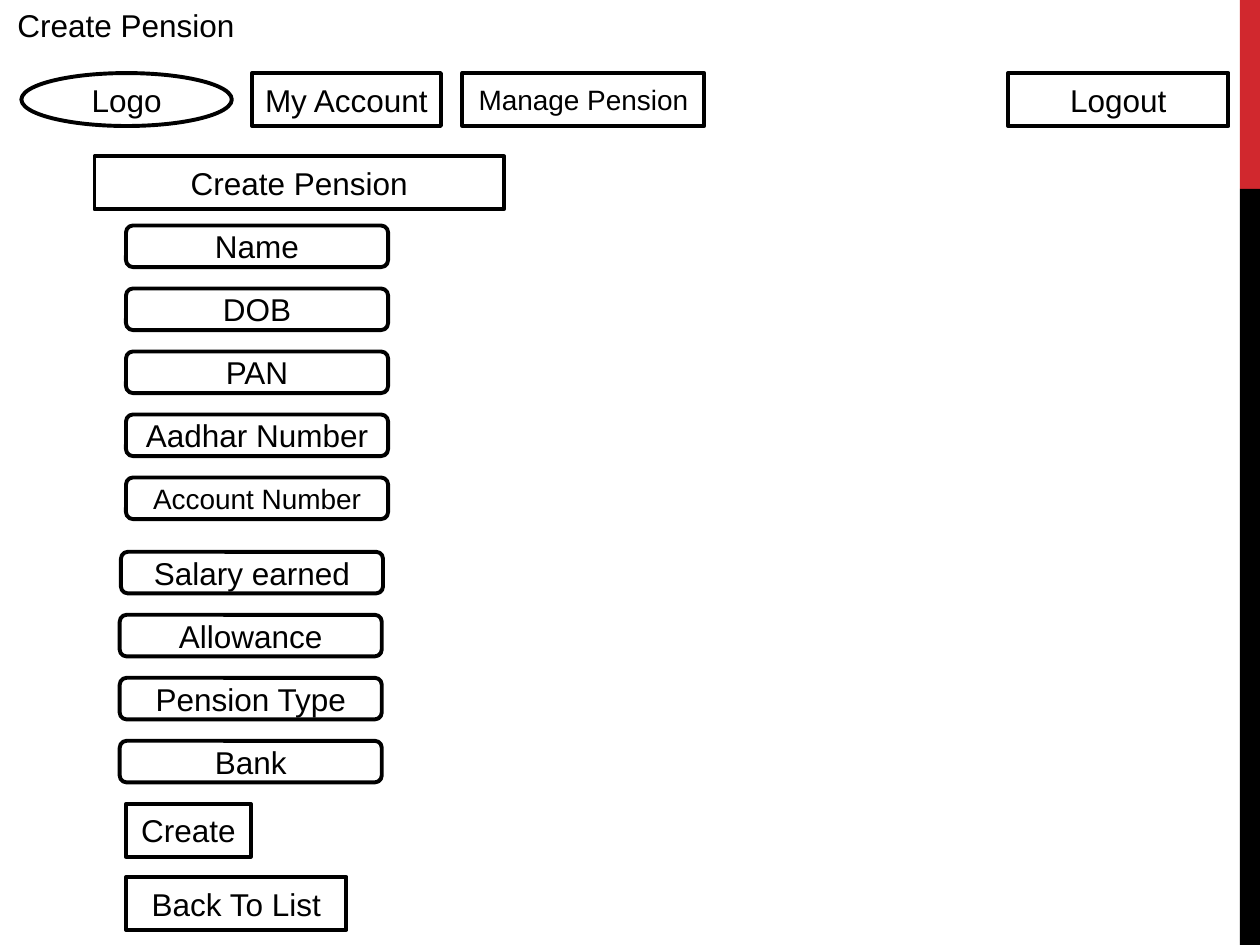
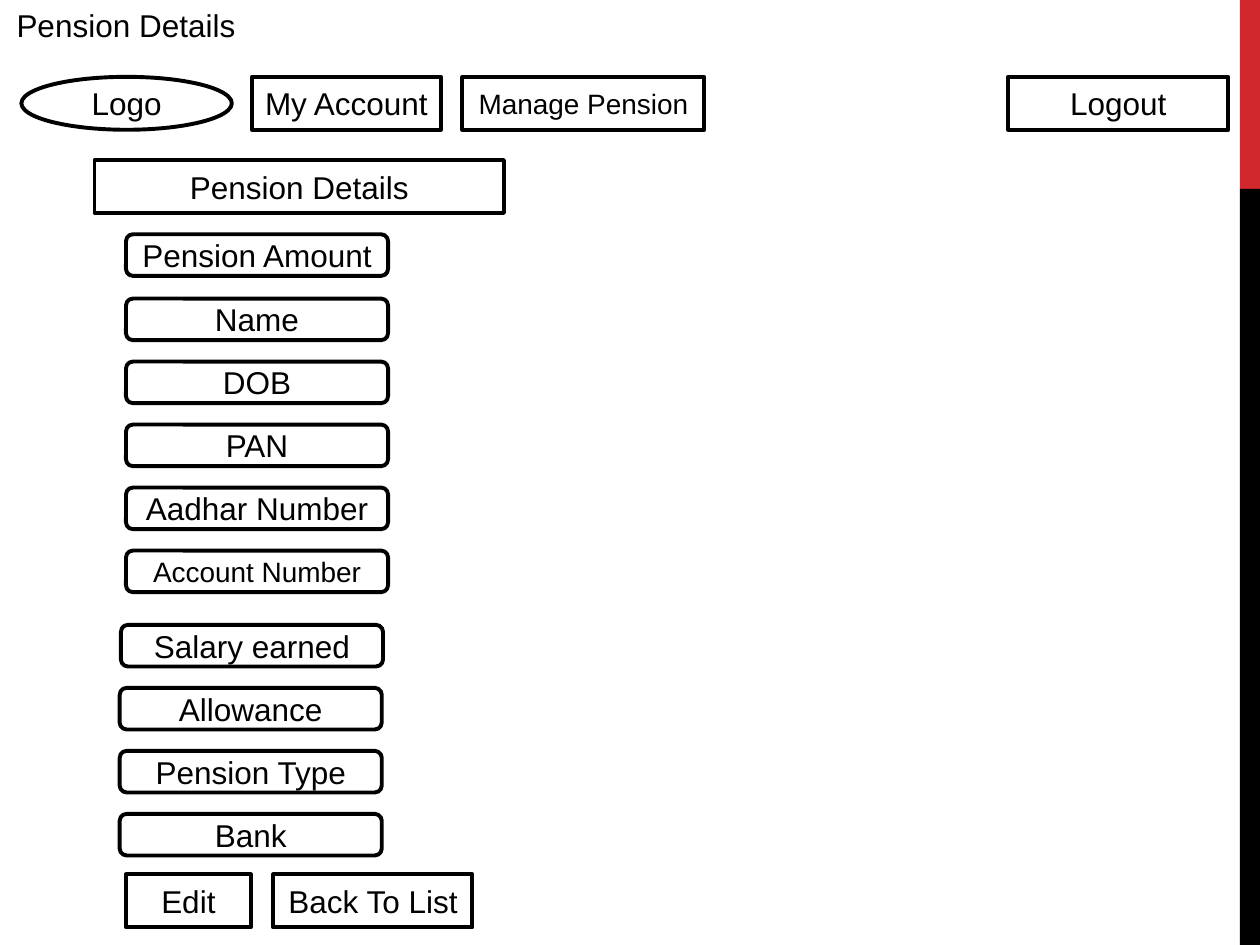
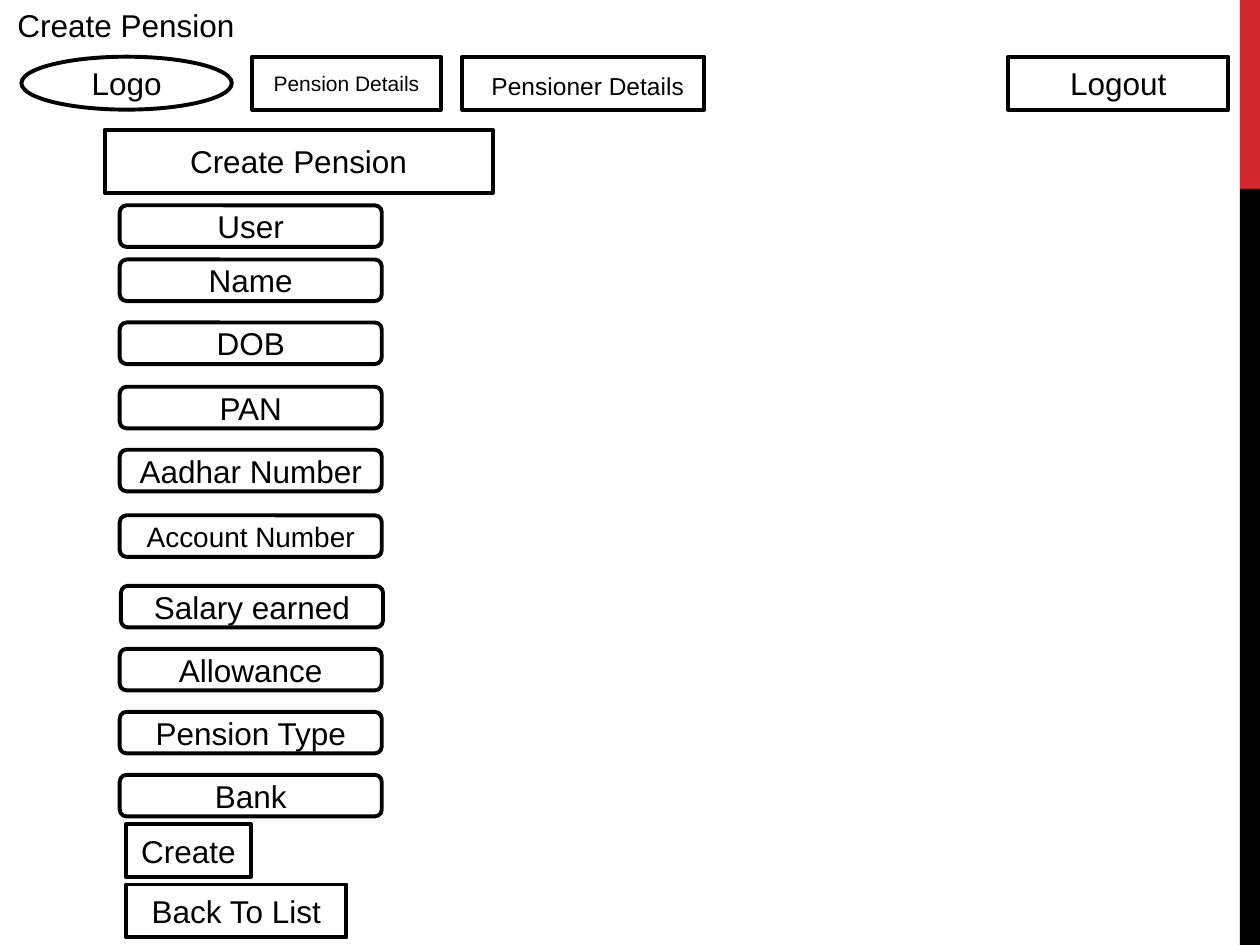
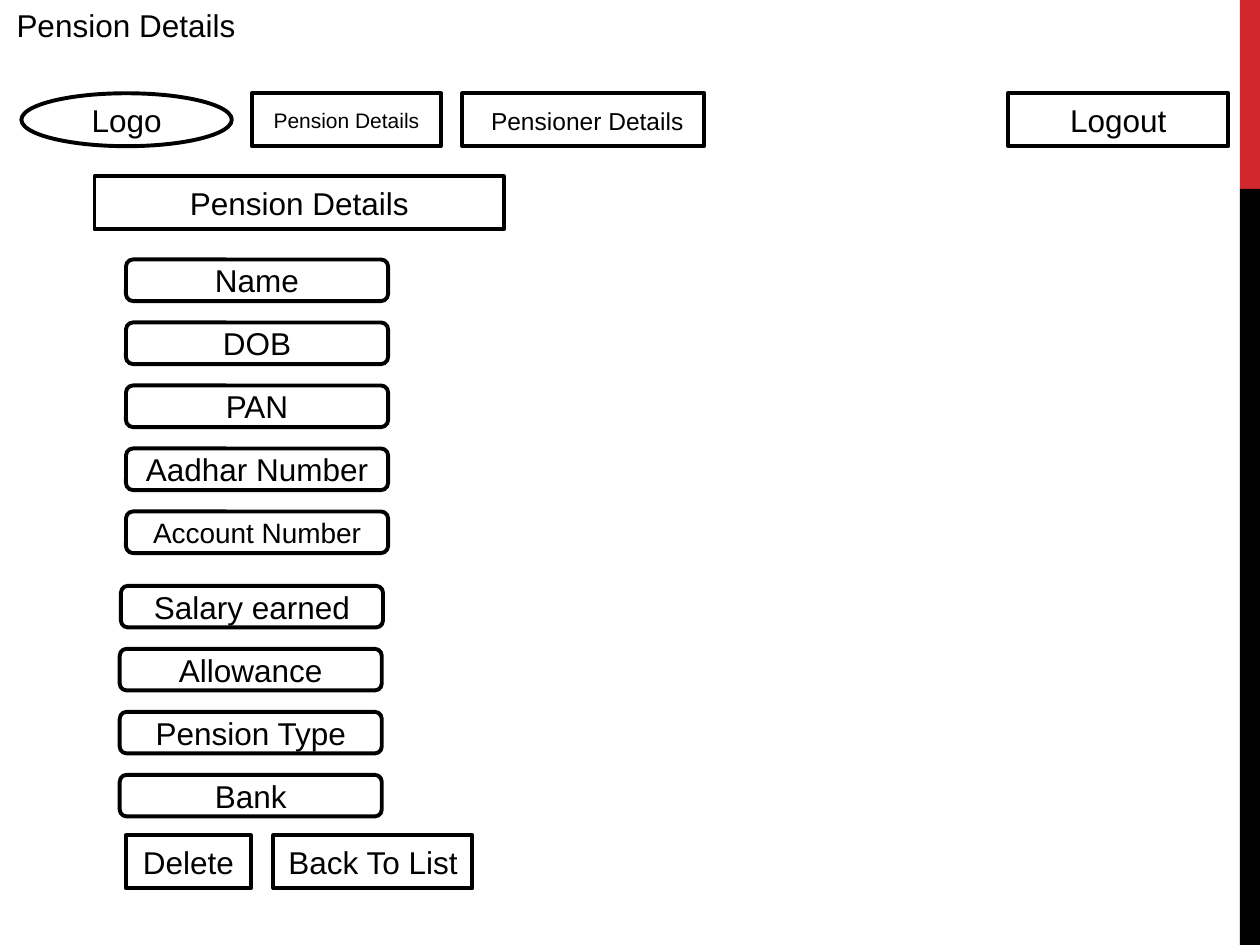
from dataclasses import dataclass

from pptx import Presentation
from pptx.dml.color import RGBColor as Rgb
from pptx.enum.shapes import MSO_SHAPE as Kind
from pptx.enum.text import MSO_ANCHOR as Anchor, MSO_AUTO_SIZE as Fit, PP_ALIGN as Align
from pptx.util import Inches, Pt


@dataclass(frozen=True)
class Theme:
    font: str = "Arial"
    ink: Rgb = Rgb(0, 0, 0)
    paper: Rgb = Rgb(255, 255, 255)
    accent: Rgb = Rgb(0xD1, 0x28, 0x2E)
    body: int = 18
    label: int = 16
    small: int = 14
    tiny: int = 12
    stroke: float = 2.25


THEME = Theme()
BAR = 0.42
STEP = 0.5
LOWER = 2.59


class Page:
    def __init__(self, deck, theme):
        self.theme = theme
        self.slide = deck.slides.add_slide(deck.slide_layouts[6])

    def label(self, frame, runs):
        line = frame.paragraphs[0]
        line.alignment = Align.CENTER
        for text, size in runs:
            run = line.add_run()
            run.text = text
            run.font.name = self.theme.font
            run.font.size = Pt(size)
            run.font.color.rgb = self.theme.ink

    def shape(self, kind, box, fill):
        item = self.slide.shapes.add_shape(kind, *map(Inches, box))
        item.shadow.inherit = False
        item.fill.solid()
        item.fill.fore_color.rgb = fill
        return item

    def band(self, top, height, fill):
        self.shape(Kind.RECTANGLE, (9.84, top, 0.16, height), fill).line.fill.background()

    def title(self, text, width):
        box = self.slide.shapes.add_textbox(
            Inches(1 - width / 2), Inches(0), Inches(width), Inches(0.4))
        frame = box.text_frame
        frame.word_wrap = False
        frame.auto_size = Fit.SHAPE_TO_FIT_TEXT
        self.label(frame, [(text, self.theme.body)])

    def box(self, box, *runs, kind=Kind.RECTANGLE):
        item = self.shape(kind, box, self.theme.paper)
        item.line.color.rgb = self.theme.ink
        item.line.width = Pt(self.theme.stroke)
        frame = item.text_frame
        frame.word_wrap = True
        frame.vertical_anchor = Anchor.MIDDLE
        self.label(frame, runs)

    def button(self, left, top, width, text):
        self.box((left, top, width, BAR), (text, self.theme.body))

    def field(self, left, top, text):
        size = self.theme.label if text == "Account Number" else self.theme.body
        self.box((left, top, 2.08, 0.33), (text, size), kind=Kind.ROUNDED_RECTANGLE)

    def menu(self, top, tabs):
        first, second = tabs
        self.box((0.17, top, 1.67, BAR), ("Logo", self.theme.body), kind=Kind.OVAL)
        self.box((2, top, 1.5, BAR), *first)
        self.button(8, top, 1.75, "Logout")
        self.box((3.67, top, 1.92, BAR), *second)

    def form(self, left, top, nudge=(0, 0, 0, 0, 0)):
        names = ("Name", "DOB", "PAN", "Aadhar Number", "Account Number")
        for row, (name, shift) in enumerate(zip(names, nudge)):
            self.field(left, top + row * STEP + shift, name)
        for row, name in enumerate(("Salary earned", "Allowance", "Pension Type", "Bank")):
            self.field(0.95 if row else 0.96, top + LOWER + row * STEP, name)


def start(deck, title, width, top, tabs, head):
    page = Page(deck, THEME)
    page.band(0, 1.5, THEME.accent)
    page.band(1.5, 6, THEME.ink)
    page.menu(top, tabs)
    page.box(head, (title, THEME.body))
    page.title(title, width)
    return page


def main():
    deck = Presentation()
    deck.slide_width, deck.slide_height = Inches(10), Inches(7.5)
    make, view = ("Create Pension", 1.94), ("Pension Details", 1.96)
    user = ([("My Account", THEME.body)], [("Manage Pension", THEME.label)])

    def staff(gap):
        return ([("Pension Details", THEME.tiny)],
                [(" ", gap), ("Pensioner Details", THEME.small)])

    page = start(deck, *make, 0.58, user, (0.75, 1.24, 3.25, BAR))
    page.form(1, 1.79)
    page.button(1, 6.38, 0.99, "Create")
    page.button(1, 6.96, 1.75, "Back To List")

    page = start(deck, *view, 0.61, user, (0.75, 1.27, 3.25, BAR))
    page.field(1, 1.86, "Pension Amount")
    page.form(1, 2.37)
    page.button(1, 6.94, 0.99, "Edit")
    page.button(2.17, 6.94, 1.58, "Back To List")

    page = start(deck, *make, 0.45, staff(THEME.body), (0.83, 1.03, 3.08, 0.5))
    page.field(0.95, 1.63, "User")
    page.form(0.95, 2.06, (0, 0, 0.01, 0.01, 0.03))
    page.button(1, 6.54, 0.99, "Create")
    page.button(1, 7.02, 1.75, "Back To List")

    page = start(deck, *view, 0.74, staff(THEME.label), (0.75, 1.4, 3.25, BAR))
    page.form(1, 2.06)
    page.button(1, 6.63, 0.99, "Delete")
    page.button(2.17, 6.63, 1.58, "Back To List")

    deck.save("out.pptx")


if __name__ == "__main__":
    main()
